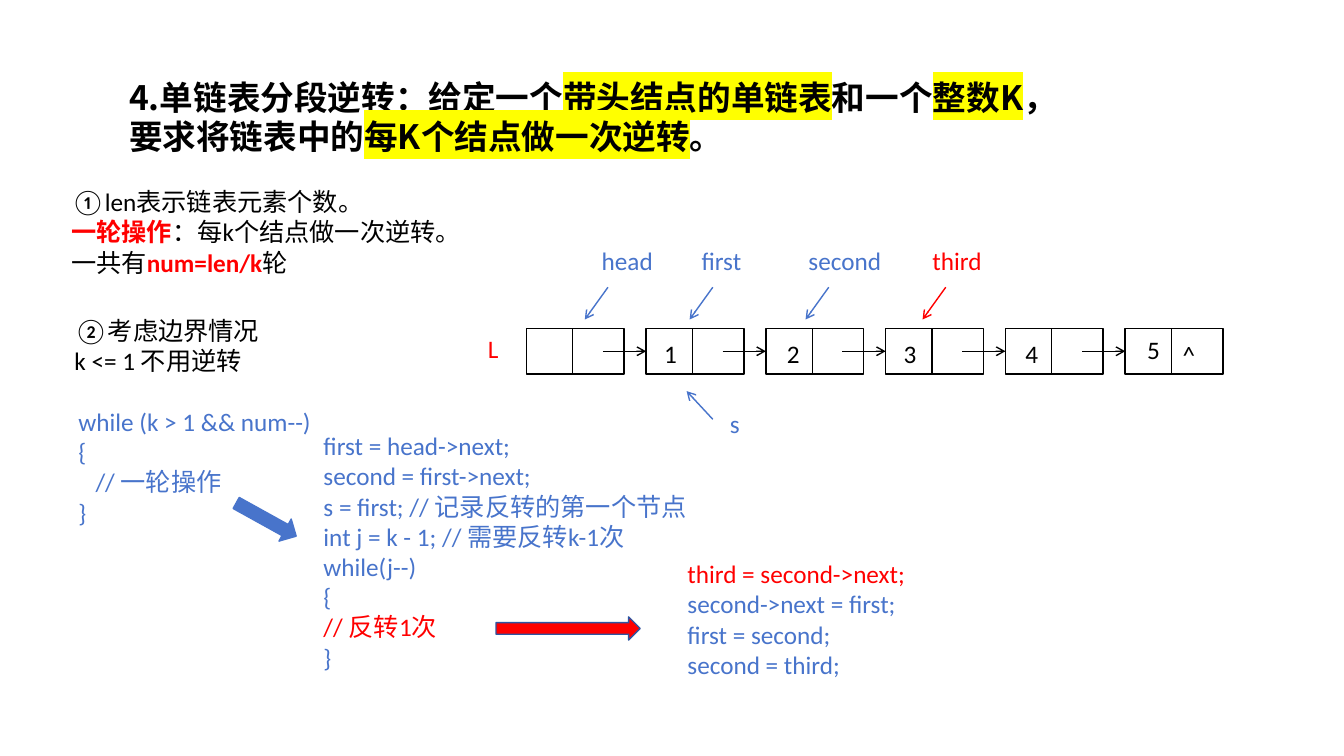
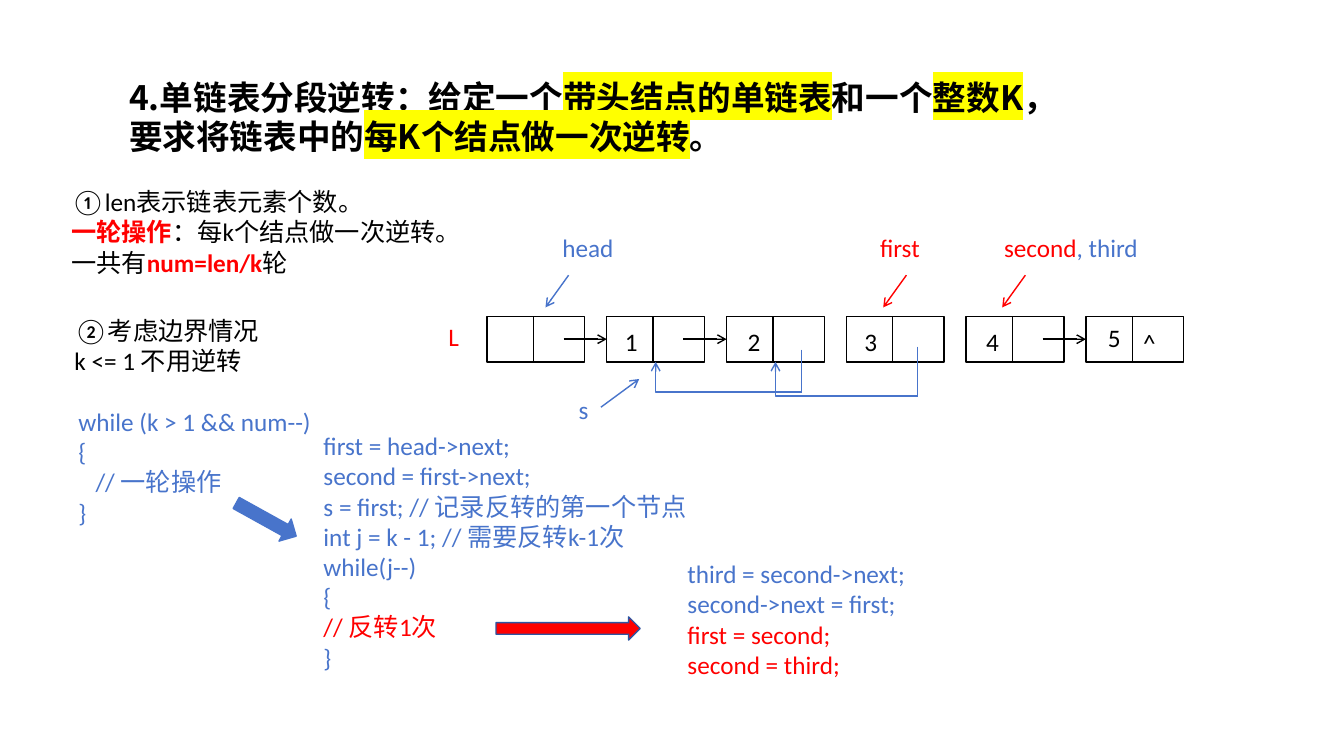
"""Builds two slides that explain reversing a linked list in groups of K."""
from dataclasses import dataclass

from lxml.etree import SubElement
from pptx import Presentation
from pptx.dml.color import RGBColor
from pptx.enum.shapes import MSO_CONNECTOR, MSO_SHAPE
from pptx.enum.text import MSO_ANCHOR, MSO_AUTO_SIZE, PP_ALIGN
from pptx.oxml.ns import qn
from pptx.util import Inches, Pt


@dataclass(frozen=True)
class Theme:
    ink: str = "000000"
    blue: str = "4874CB"
    red: str = "FF0000"
    navy: str = "2E54A1"
    highlight: str = "FFFF00"
    title_font: str = "Noto Sans CJK SC"
    body_font: str = "Calibri"
    title_size: int = 24
    title_spacing: float = 0.95
    body_size: int = 18
    line_width: int = 1


THEME = Theme()
INK, BLUE, RED = THEME.ink, THEME.blue, THEME.red

TITLE_BOX = (1.18, 0.66, 9.66, 1.03)
TITLE = [
    ("4.单链表分段逆转：给定一个", False),
    ("带头结点的单链表", True),
    ("和一个", False),
    ("整数K", True),
    ("，要求将链表中的", False),
    ("每K个结点做一次逆转", True),
    ("。", False),
]

SHARED_TEXTS = [
    ((0.61, 1.8, 4, 1.16), [
        [("①len表示链表元素个数。", INK)],
        [("一轮操作", RED, True), ("：每k个结点做一次逆转。", INK)],
        [("一共有", INK), ("num=len/k", RED, True), ("轮", INK)],
    ]),
    ((0.64, 3.08, 3.14, 0.78), [
        [("②考虑边界情况", INK)],
        [("k <= 1 不用逆转", INK)],
    ]),
    ((0.68, 3.98, 4.42, 1.32), [
        [("while (k > 1 && num--)", BLUE)],
        [("{", BLUE)],
        [("   // 一轮操作", BLUE)],
        [("}", BLUE)],
    ]),
    ((3.11, 4.22, 3.89, 2.52), [
        [("first = head->next;", BLUE)],
        [("second = first->next;", BLUE)],
        [("s = first; // 记录反转的第一个节点", BLUE)],
        [("int j = k - 1; // 需要反转k-1次", BLUE)],
        [("while(j--)", BLUE)],
        [("{", BLUE)],
        [("// 反转1次", RED)],
        [("}", BLUE)],
    ]),
]

BLOCK_ARROWS = [
    ((2.3, 5.03, 0.68, 0.25), 29, BLUE, BLUE),
    ((4.92, 6.12, 1.43, 0.23), 0, RED, THEME.navy),
]

STEP_BOX = (6.72, 5.49, 2.95, 1.4)
STEPS = ["third = second->next;", "second->next = first;", "first = second;", "second = third;"]

NODE_COUNT = 6
NODE_WIDTH, NODE_HEIGHT = 0.97, 0.45
NODE_PITCH = 5.94 / (NODE_COUNT - 1)
DIVIDER, LINK_START = 0.46, 0.76
NODE_LABELS = [
    (1, "1", 0.08, 0.05),
    (2, "2", 0.11, 0.05),
    (3, "3", 0.08, 0.05),
    (4, "4", 0.1, 0.05),
    (5, "5", 0.12, 0.01),
    (5, "^", 0.47, 0.06),
]
LABEL_RISE, POINTER_RISE, POINTER_GAP, POINTER_SLANT = 0.88, 0.41, 0.09, 0.23

SLIDES = [
    {
        "chain": (5.22, 3.26),
        "linked": {0, 1, 2, 3, 4},
        "pointers": [
            ([("head", BLUE)], 5.87, 0.86, 6.03, BLUE),
            ([("first", BLUE)], 6.86, 0.86, 7.07, BLUE),
            ([("second", BLUE)], 7.92, 1.11, 8.22, BLUE),
            ([("third", RED)], 9.15, 0.92, 9.38, RED),
        ],
        "s_label": (7.14, 4),
        "s_arrow": ((7.07, 4.16), (6.81, 3.88)),
        "hooks": [],
        "step_colors": [RED, BLUE, BLUE, BLUE],
    },
    {
        "chain": (4.83, 3.14),
        "linked": {0, 1, 4},
        "pointers": [
            ([("head", BLUE)], 5.48, 0.86, 5.64, BLUE),
            ([("first", RED)], 8.63, 0.73, 8.99, RED),
            ([("second", RED), (", third", BLUE)], 9.86, 1.78, 10.17, RED),
        ],
        "s_label": (5.64, 3.86),
        "s_arrow": ((5.96, 4.04), (6.34, 3.76)),
        "hooks": [(7.95, 3.47, 3.89, 1), (9.1, 3.44, 3.93, 2)],
        "step_colors": [BLUE, BLUE, RED, RED],
    },
]


def add_run(paragraph, text, font_name, size, color, bold=False, marked=False):
    run = paragraph.add_run()
    run.text = text
    run.font.name = font_name
    run.font.size = Pt(size)
    run.font.bold = bold
    run.font.color.rgb = RGBColor.from_string(color)
    properties = run.font._element
    east_asian = SubElement(properties, qn("a:ea"), typeface=font_name)
    properties.find(qn("a:latin")).addnext(east_asian)
    if marked:
        highlight = SubElement(properties, qn("a:highlight"))
        SubElement(highlight, qn("a:srgbClr"), val=THEME.highlight)
        properties.find(qn("a:solidFill")).addnext(highlight)


def add_title(slide):
    title = slide.shapes.title
    title.left, title.top, title.width, title.height = map(Inches, TITLE_BOX)
    frame = title.text_frame
    frame.word_wrap = True
    frame.auto_size = MSO_AUTO_SIZE.NONE
    frame.vertical_anchor = MSO_ANCHOR.MIDDLE
    paragraph = frame.paragraphs[0]
    paragraph.alignment = PP_ALIGN.LEFT
    paragraph.line_spacing = THEME.title_spacing
    for text, marked in TITLE:
        add_run(paragraph, text, THEME.title_font, THEME.title_size, INK, True, marked)


def add_text(slide, box, lines):
    frame = slide.shapes.add_textbox(*map(Inches, box)).text_frame
    frame.word_wrap = True
    for index, runs in enumerate(lines):
        paragraph = frame.add_paragraph() if index else frame.paragraphs[0]
        for text, *style in runs:
            add_run(paragraph, text, THEME.body_font, THEME.body_size, *style)


def add_box(slide, kind, box, line_color, fill_color=None):
    shape = slide.shapes.add_shape(kind, *map(Inches, box))
    shape.shadow.inherit = False
    if fill_color:
        shape.fill.solid()
        shape.fill.fore_color.rgb = RGBColor.from_string(fill_color)
    else:
        shape.fill.background()
    shape.line.color.rgb = RGBColor.from_string(line_color)
    shape.line.width = Pt(THEME.line_width)
    return shape


def add_line(slide, start, end, color, arrow=False, kind=MSO_CONNECTOR.STRAIGHT):
    connector = slide.shapes.add_connector(kind, *map(Inches, (*start, *end)))
    connector.line.color.rgb = RGBColor.from_string(color)
    connector.line.width = Pt(THEME.line_width)
    properties = connector._element.spPr
    if arrow:
        SubElement(properties.find(qn("a:ln")), qn("a:tailEnd"), type="arrow")
    SubElement(properties, qn("a:effectLst"))
    return connector


def add_corner_arrow(slide, start, end, color):
    connector = add_line(slide, start, end, color, True, MSO_CONNECTOR.ELBOW)
    properties = connector._element.spPr
    properties.find(qn("a:prstGeom")).set("prst", "bentConnector2")
    transform = properties.find(qn("a:xfrm"))
    for flip in ("flipH", "flipV"):
        transform.attrib.pop(flip, None)
    transform.set("rot", str(180 * 60000))


def add_chain(slide, left, top, linked):
    lefts = [left + index * NODE_PITCH for index in range(NODE_COUNT)]
    nodes = [
        add_box(slide, MSO_SHAPE.RECTANGLE, (x, top, NODE_WIDTH, NODE_HEIGHT), INK)
        for x in lefts
    ]
    middle = top + NODE_HEIGHT / 2
    for index, x in enumerate(lefts):
        add_line(slide, (x + DIVIDER, top), (x + DIVIDER, top + NODE_HEIGHT), INK)
        if index in linked:
            link = add_line(slide, (x + LINK_START, middle), (lefts[index + 1], middle), INK, True)
            link.end_connect(nodes[index + 1], 1)
    for index, text, across, down in NODE_LABELS:
        add_text(slide, (lefts[index] + across, top + down, 0.29, 0.4), [[(text, INK)]])
    add_text(slide, (left - 0.48, top, 0.53, 0.4), [[("L", RED)]])
    return lefts


def add_pointers(slide, top, pointers):
    for runs, left, width, arrow_x, color in pointers:
        add_text(slide, (left, top - LABEL_RISE, width, 0.37), [runs])
        start = (arrow_x, top - POINTER_RISE)
        add_line(slide, start, (arrow_x - POINTER_SLANT, top - POINTER_GAP), color, True)


def build_slide(presentation, content):
    slide = presentation.slides.add_slide(presentation.slide_layouts[5])
    add_title(slide)
    for box, lines in SHARED_TEXTS:
        add_text(slide, box, lines)
    for box, rotation, fill_color, line_color in BLOCK_ARROWS:
        add_box(slide, MSO_SHAPE.RIGHT_ARROW, box, line_color, fill_color).rotation = rotation
    add_text(slide, STEP_BOX, [[step] for step in zip(STEPS, content["step_colors"])])

    left, top = content["chain"]
    lefts = add_chain(slide, left, top, content["linked"])
    add_pointers(slide, top, content["pointers"])
    add_text(slide, (*content["s_label"], 0.51, 0.37), [[("s", BLUE)]])
    add_line(slide, *content["s_arrow"], BLUE, True)
    for x, start_y, turn_y, target in content["hooks"]:
        add_line(slide, (x, start_y), (x, turn_y), BLUE)
        target_point = (lefts[target] + NODE_WIDTH / 2, top + NODE_HEIGHT)
        add_corner_arrow(slide, (x, turn_y), target_point, BLUE)


def main():
    presentation = Presentation()
    presentation.slide_width, presentation.slide_height = Inches(13.33), Inches(7.5)
    for content in SLIDES:
        build_slide(presentation, content)
    presentation.save("out.pptx")


if __name__ == "__main__":
    main()
